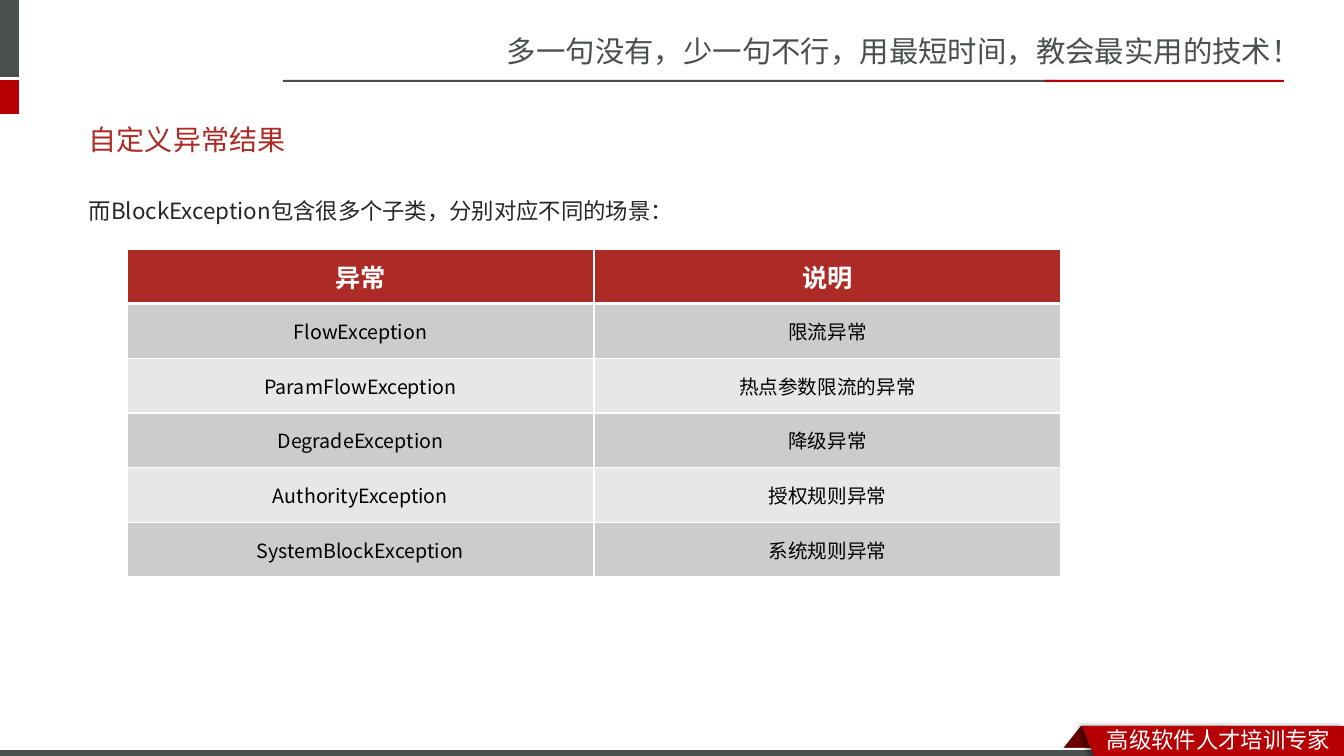
from lxml.etree import SubElement
from pptx import Presentation
from pptx.dml.color import RGBColor
from pptx.enum.shapes import MSO_SHAPE
from pptx.enum.text import MSO_ANCHOR, PP_ALIGN
from pptx.oxml import parse_xml
from pptx.oxml.ns import nsdecls, qn
from pptx.util import Pt

EMU_PER_PX = 914400 / 100.8
FONT = "Noto Sans CJK SC"
SLATE = RGBColor(0x49, 0x50, 0x4F)
RED = RGBColor(0xB6, 0x00, 0x04)
DARK_RED = RGBColor(0x68, 0x00, 0x00)
TITLE_RED = RGBColor(0xAD, 0x2A, 0x26)
HEADER_RED = RGBColor(0xAD, 0x2B, 0x26)
BODY_GREY = RGBColor(0x26, 0x26, 0x26)
BAND_DARK = RGBColor(0xCC, 0xCC, 0xCC)
BAND_LIGHT = RGBColor(0xE7, 0xE7, 0xE7)
WHITE = RGBColor(0xFF, 0xFF, 0xFF)
BLACK = RGBColor(0x00, 0x00, 0x00)


def px(*lengths):
    return [round(n * EMU_PER_PX) for n in lengths]


def write(frame, text, size, color, bold=False):
    paragraph = frame.paragraphs[0]
    run = paragraph.add_run()
    run.text = text
    run.font.size = Pt(size)
    run.font.name = FONT
    run.font.bold = bold
    run.font.color.rgb = color
    SubElement(run.font._element, qn("a:ea"), typeface=FONT)
    return paragraph


prs = Presentation()
prs.slide_width, prs.slide_height = px(1344, 756)
slide = prs.slides.add_slide(prs.slide_layouts[6])
shapes = slide.shapes

# Ribbon fold, side marks, header rule and footer bar
for kind, box, color in [
    (MSO_SHAPE.PARALLELOGRAM, (1057, 726, 169, 30), DARK_RED),
    (MSO_SHAPE.RECTANGLE, (0, 748, 1344, 8), WHITE),
    (MSO_SHAPE.RECTANGLE, (0, 0, 19, 77), SLATE),
    (MSO_SHAPE.RECTANGLE, (0, 80, 19, 34), RED),
    (MSO_SHAPE.RECTANGLE, (283, 80, 774, 2), SLATE),
    (MSO_SHAPE.RECTANGLE, (1045, 80, 239, 2), RED),
    (MSO_SHAPE.RECTANGLE, (0, 750, 1108, 6), SLATE),
]:
    decoration = shapes.add_shape(kind, *px(*box))
    decoration.shadow.inherit = False
    decoration.fill.solid()
    decoration.fill.fore_color.rgb = color
    decoration.line.fill.background()
    if kind == MSO_SHAPE.PARALLELOGRAM:
        decoration.adjustments[0] = 0.8

# Ribbon with a soft shadow to its left
outline = shapes.build_freeform(1082, 726, scale=EMU_PER_PX)
outline.add_line_segments([(1344, 726), (1344, 756), (1094, 756)], close=True)
ribbon = outline.convert_to_shape()
ribbon.fill.solid()
ribbon.fill.fore_color.rgb = RED
ribbon.line.fill.background()
ribbon.shadow.inherit = False
ribbon._element.spPr.find(qn("a:effectLst")).append(parse_xml(
    f'<a:outerShdw {nsdecls("a")} blurRad="{Pt(4)}" dist="{Pt(3)}" dir="10800000">'
    '<a:srgbClr val="000000"><a:alpha val="40000"/></a:srgbClr></a:outerShdw>'))

# Slogan, ribbon label, title and introduction
for text, box, size, color, anchor, spacing in [
    ("多一句没有，少一句不行，用最短时间，教会最实用的技术！",
     (497, 28, 847, 47), 21, SLATE, MSO_ANCHOR.TOP, 1),
    ("高级软件人才培训专家", (1097, 721, 247, 35), 16, WHITE, MSO_ANCHOR.TOP, 1),
    ("自定义异常结果", (79, 111, 1179, 57), 20, TITLE_RED, MSO_ANCHOR.MIDDLE, 1),
    ("而BlockException包含很多个子类，分别对应不同的场景：",
     (79, 179, 1179, 423), 16, BODY_GREY, MSO_ANCHOR.TOP, 1.5),
]:
    frame = shapes.add_textbox(*px(*box)).text_frame
    frame.word_wrap = True
    frame.vertical_anchor = anchor
    paragraph = write(frame, text, size, color)
    if spacing != 1:
        paragraph.line_spacing = spacing
        paragraph.space_before = Pt(3)

# Exception table
exceptions = [
    ("异常", "说明"),
    ("FlowException", "限流异常"),
    ("ParamFlowException", "热点参数限流的异常"),
    ("DegradeException", "降级异常"),
    ("AuthorityException", "授权规则异常"),
    ("SystemBlockException", "系统规则异常"),
]
table = shapes.add_table(len(exceptions), 2, *px(127, 249, 934, 328)).table
for r, row in enumerate(exceptions):
    is_header = r == 0
    for c, text in enumerate(row):
        cell = table.cell(r, c)
        cell.vertical_anchor = MSO_ANCHOR.MIDDLE
        borders = cell._tc.get_or_add_tcPr()
        for side in ("lnL", "lnR", "lnT", "lnB"):
            thick = (is_header and side == "lnB") or (r == 1 and side == "lnT")
            borders.append(parse_xml(
                f'<a:{side} {nsdecls("a")} w="{Pt(3 if thick else 1)}"><a:solidFill>'
                f'<a:srgbClr val="{WHITE}"/></a:solidFill></a:{side}>'))
        cell.fill.solid()
        cell.fill.fore_color.rgb = (
            HEADER_RED if is_header else BAND_DARK if r % 2 else BAND_LIGHT)
        paragraph = write(cell.text_frame, text, 18 if is_header else 14,
                          WHITE if is_header else BLACK, bold=is_header)
        paragraph.alignment = PP_ALIGN.CENTER

prs.save("out.pptx")
